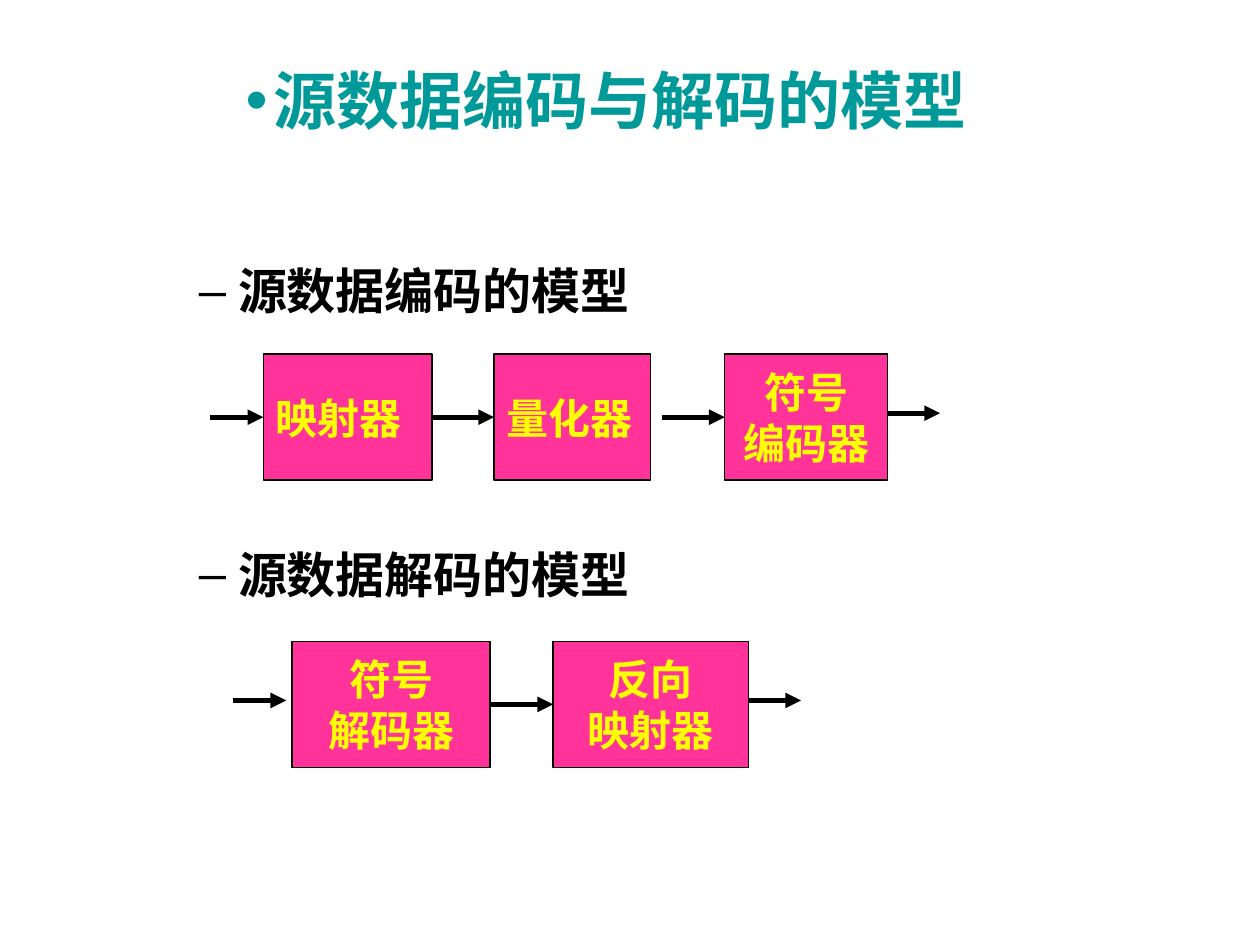
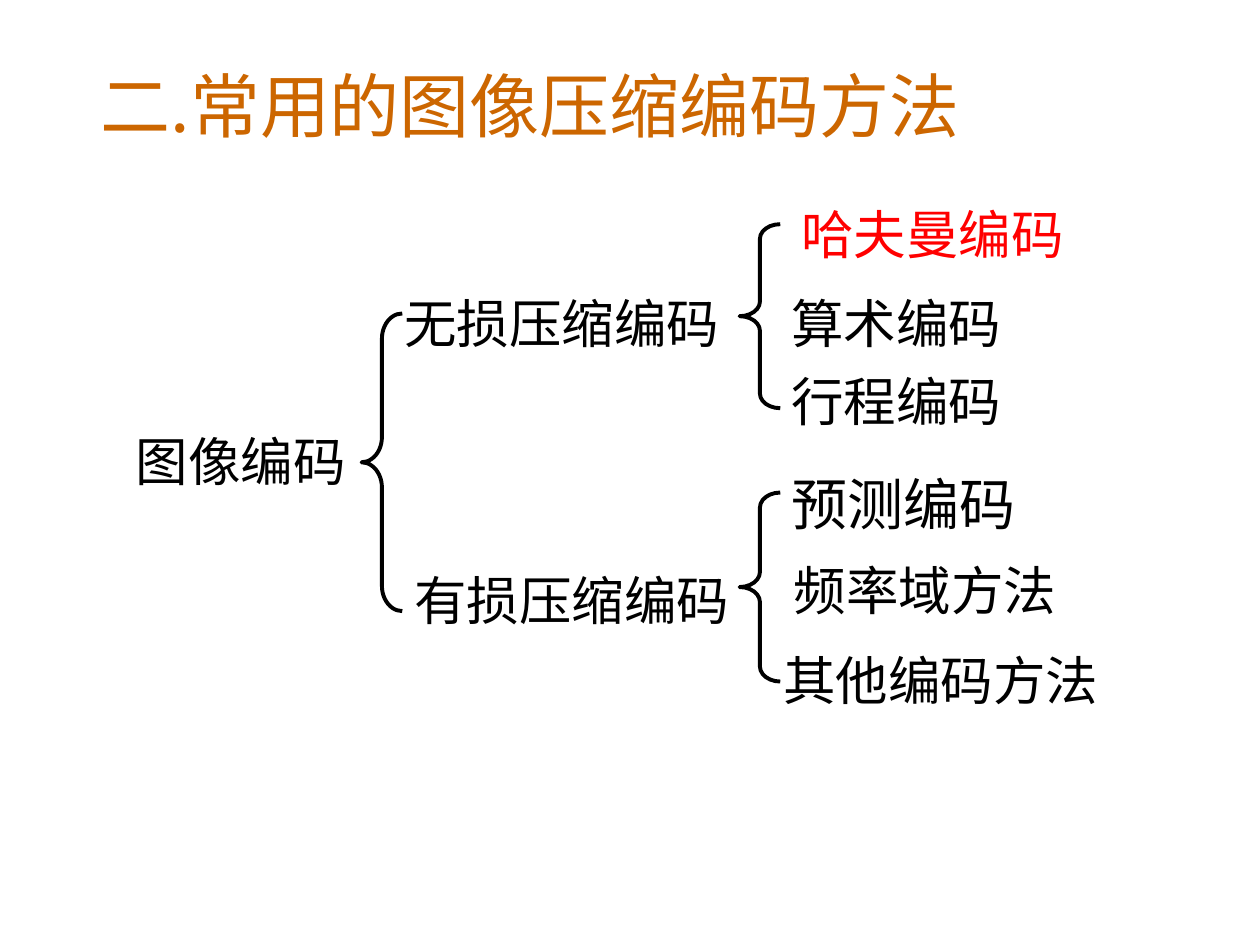
from lxml import etree
from pptx import Presentation
from pptx.dml.color import RGBColor
from pptx.enum.shapes import MSO_CONNECTOR, MSO_SHAPE
from pptx.enum.text import MSO_ANCHOR, MSO_AUTO_SIZE, PP_ALIGN
from pptx.oxml.ns import qn
from pptx.util import Cm, Pt

COLORS = {
    "ink": "000000",
    "teal": "009999",
    "orange": "CC6600",
    "pink": "FF3399",
    "yellow": "FFFF00",
    "red": "FF0000",
}
CJK_FONT = "Noto Sans CJK SC"
TREE_FONT = "Noto Sans CJK JP"


def rgb(name):
    return RGBColor.from_string(COLORS[name])


def write(frame, text, size, font=TREE_FONT, color="ink", bold=False,
          align=PP_ALIGN.LEFT, bullet=None, indent=0, hang=0, leading=None):
    """Fill a vertically centred frame, one paragraph per line of text."""
    frame.auto_size = MSO_AUTO_SIZE.NONE
    frame.word_wrap = True
    frame.vertical_anchor = MSO_ANCHOR.MIDDLE
    frame.margin_left = frame.margin_right = Cm(0.25)
    frame.margin_top = frame.margin_bottom = 0
    for number, line in enumerate(text.split("\n")):
        paragraph = frame.add_paragraph() if number else frame.paragraphs[0]
        paragraph.alignment = align
        paragraph.space_before = Pt(0)
        if leading:
            paragraph.line_spacing = Pt(leading)
        if bullet:
            properties = paragraph._p.get_or_add_pPr()
            properties.set("marL", str(Cm(indent)))
            properties.set("indent", str(-Cm(hang)))
            bullet_color = etree.SubElement(properties, qn("a:buClr"))
            etree.SubElement(bullet_color, qn("a:srgbClr"), val=COLORS[color])
            etree.SubElement(properties, qn("a:buFont"), typeface="Arial")
            etree.SubElement(properties, qn("a:buChar"), char=bullet)
        run = paragraph.add_run()
        run.text = line
        run.font.size = Pt(size)
        run.font.bold = bold
        run.font.name = font
        run.font.color.rgb = rgb(color)
        east_asian = font if "CJK" in font else CJK_FONT
        etree.SubElement(run._r.get_or_add_rPr(), qn("a:ea"), typeface=east_asian)


presentation = Presentation()
presentation.slide_width = Cm(25.4)
presentation.slide_height = Cm(19.05)
title_only = presentation.slide_layouts[5]

# Source coding and decoding models
models = presentation.slides.add_slide(title_only)
heading = models.shapes.title
heading.left, heading.top, heading.width, heading.height = Cm(4.7), Cm(1.12), Cm(18.4), Cm(1.78)
write(heading.text_frame, "源数据编码与解码的模型", 36, font="Arial", color="teal",
      bold=True, bullet="•", indent=0.57, hang=0.57)

for model_name, top in [("源数据编码的模型", 5.13), ("源数据解码的模型", 10.85)]:
    model_label = models.shapes.add_textbox(Cm(2.49), Cm(top), Cm(22.4), Cm(1.44))
    write(model_label.text_frame, model_name, 28, font="Arial", bold=True,
          bullet="–", indent=2.06, hang=0.79)

ENCODER_TOP, DECODER_TOP = 7.14, 12.93
stages = [
    ("映射器", 5.31, ENCODER_TOP, 3.4),
    ("量化器", 9.96, ENCODER_TOP, 3.15),
    ("符号\n编码器", 14.61, ENCODER_TOP, 3.28),
    ("符号\n解码器", 5.89, DECODER_TOP, 3.99),
    ("反向\n映射器", 11.15, DECODER_TOP, 3.94),
]
for stage_name, left, top, width in stages:
    stage = models.shapes.add_shape(MSO_SHAPE.RECTANGLE, Cm(left), Cm(top), Cm(width), Cm(2.54))
    stage.shadow.inherit = False
    stage.fill.solid()
    stage.fill.fore_color.rgb = rgb("pink")
    stage.line.color.rgb = rgb("ink")
    stage.line.width = Pt(0.75)
    write(stage.text_frame, stage_name, 24, font="Times New Roman", color="yellow", bold=True,
          align=PP_ALIGN.CENTER if "\n" in stage_name else PP_ALIGN.LEFT, leading=29)

flows = [
    (4.24, 5.31, 8.41), (8.69, 9.96, 8.41), (13.34, 14.61, 8.41), (17.91, 18.95, 8.33),
    (4.7, 5.77, 14.12), (9.88, 11.15, 14.2), (15.09, 16.15, 14.12),
]
for start, end, y in flows:
    flow = models.shapes.add_connector(MSO_CONNECTOR.STRAIGHT, Cm(start), Cm(y), Cm(end), Cm(y))
    flow.line.color.rgb = rgb("ink")
    flow.line.width = Pt(3)
    etree.SubElement(flow.line._get_or_add_ln(), qn("a:tailEnd"), type="triangle")
    etree.SubElement(flow._element.spPr, qn("a:effectLst"))

# Tree of image coding methods
methods = presentation.slides.add_slide(title_only)
heading = methods.shapes.title
heading.left, heading.top, heading.width, heading.height = Cm(1.78), Cm(1.12), Cm(19.4), Cm(1.96)
write(heading.text_frame, "二.常用的图像压缩编码方法", 40, font=CJK_FONT, color="orange")

branches = [
    ("图像编码", 2.49, 8.53, 5.61, 30, "ink"),
    ("无损压缩编码", 7.9, 5.74, 7.21, 30, "ink"),
    ("有损压缩编码", 8.1, 11.33, 7.59, 30, "ink"),
    ("哈夫曼编码", 15.9, 3.94, 6.6, 30, "red"),
    ("算术编码", 15.7, 5.74, 7.21, 30, "ink"),
    ("行程编码", 15.7, 7.32, 6.81, 30, "ink"),
    ("预测编码", 15.7, 9.32, 8.51, 32, "ink"),
    ("频率域方法", 15.75, 11.13, 7.21, 30, "ink"),
    ("其他编码方法", 15.54, 12.93, 7.85, 30, "ink"),
]
for branch_name, left, top, width, size, color in branches:
    branch = methods.shapes.add_textbox(Cm(left), Cm(top), Cm(width), Cm(1.52 if size == 30 else 1.63))
    write(branch.text_frame, branch_name, size, color=color)

for left, top, height, curl in [(7.29, 6.32, 6, 0.62), (14.91, 4.52, 3.71, 0.36),
                                (14.91, 9.93, 3.81, 0.37)]:
    brace = methods.shapes.add_shape(MSO_SHAPE.LEFT_BRACE, Cm(left), Cm(top), Cm(0.82), Cm(height))
    brace.shadow.inherit = False
    brace.adjustments[0] = curl
    brace.fill.background()
    brace.line.color.rgb = rgb("ink")
    brace.line.width = Pt(2.25)

presentation.save("out.pptx")
